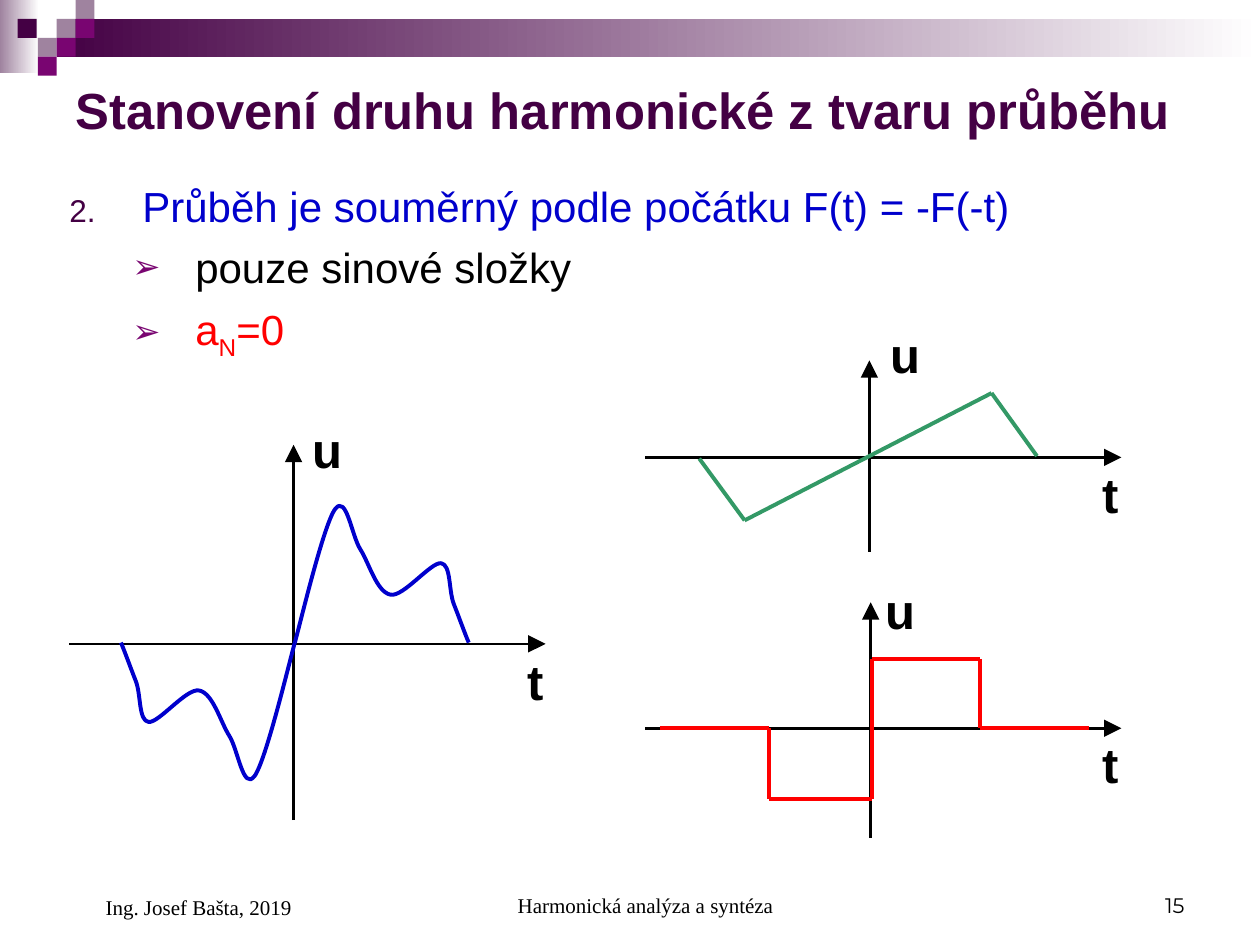
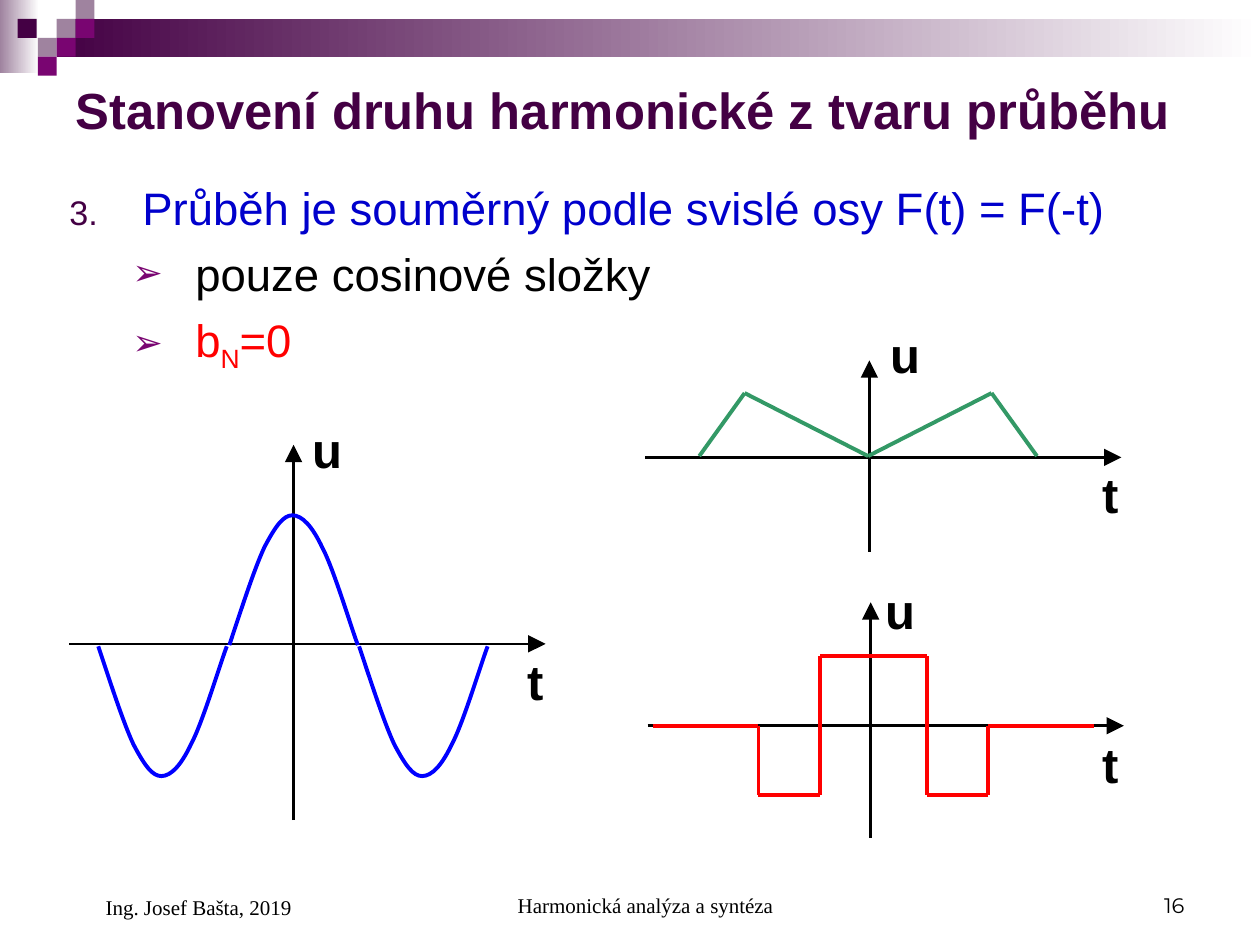
import itertools

import pptx
import pptx.dml.color
import pptx.enum.shapes
import pptx.enum.text
import pptx.oxml
import pptx.oxml.ns
import pptx.util
from pptx.util import Inches

PLUM, MAUVE, MAGENTA = "440044", "9F839F", "790571"
BLACK, WHITE, NAVY, BLUE, RED, GREEN = "000000", "FFFFFF", "0000CC", "0000FF", "FF0000", "339966"
ALIGN = pptx.enum.text.PP_ALIGN
ANCHOR = pptx.enum.text.MSO_ANCHOR
AUTO_SIZE = pptx.enum.text.MSO_AUTO_SIZE

TITLE = "Stanovení druhu harmonické z tvaru průběhu"
GRADIENT_BANDS = [((0, 0, 0.31, 0.58), MAUVE), ((0.45, 0.15, 9.55, 0.3), PLUM)]
SQUARE_SIDE = 0.15
SQUARES = [
    (0.45, 0.15, MAUVE), (0.6, 0, MAUVE), (0.6, 0.15, MAGENTA), (0.3, 0.3, MAUVE),
    (0.14, 0.15, PLUM), (0.45, 0.3, MAGENTA), (0.3, 0.45, MAGENTA),
]
FOOTERS = [
    ("Harmonická analýza a syntéza", (3.42, 6.83, 3.17, 0.5), ALIGN.CENTER, 0.24, "Times New Roman"),
    ("{number}", (7.17, 6.83, 2.33, 0.5), ALIGN.RIGHT, 0, "Montserrat"),
    ("Ing. Josef Bašta, 2019", (0.5, 6.83, 2.33, 0.52), ALIGN.LEFT, 0.24, "Times New Roman"),
]

SMOOTH_AXES = {"t": (0.55, 4.33, 5.11), "u": (2.33, 6.51, 3.53),
               "labels": {"u": (2.38, 3.28), "t": (4.09, 5.12)}}
TRIANGLE_AXES = {"t": (5.12, 8.9, 3.63), "u": (6.9, 4.38, 2.86),
                 "labels": {"u": (6.97, 2.53), "t": (8.65, 3.64)}}
SQUARE_AXES = {"t": (5.12, 8.9, 5.78), "u": (6.91, 6.65, 4.78),
               "labels": {"u": (6.93, 4.56), "t": (8.65, 5.78)}}
RAISED_SQUARE_AXES = {**SQUARE_AXES, "t": (5.14, 8.92, 5.76)}

ORIGIN = (2.34, 5.1)
ODD_HALF = [
    (0, 0), (0.05, -0.18), (0.23, -0.94), (0.32, -1.06), (0.41, -1.18), (0.45, -0.85), (0.52, -0.74),
    (0.59, -0.63), (0.65, -0.4), (0.76, -0.38), (0.86, -0.36), (1.08, -0.64), (1.16, -0.63),
    (1.24, -0.62), (1.22, -0.42), (1.26, -0.31), (1.3, -0.21), (1.35, -0.07), (1.38, 0),
]
ARCH = [
    (0, 0), (0.1, 0.3), (0.2, 0.61), (0.28, 0.78), (0.37, 0.95), (0.43, 1.03), (0.5, 1.03),
    (0.58, 1.03), (0.66, 0.94), (0.74, 0.77), (0.83, 0.6), (0.97, 0.13), (1.02, 0),
]

SLIDES = [
    {
        "number": 15,
        "start": 2,
        "size": 24,
        "body": (0.45, 1.38, 9.05, 1.6),
        "property": "Průběh je souměrný podle počátku F(t) = -F(-t)",
        "components": "pouze sinové složky",
        "coefficient": "a",
        "axes": [SMOOTH_AXES, TRIANGLE_AXES, SQUARE_AXES],
        "curves": [(ODD_HALF, ORIGIN, 1, 1, NAVY), (ODD_HALF, ORIGIN, -1, -1, NAVY)],
        "waves": [
            (GREEN, [(5.55, 3.64), (5.91, 4.13), (7.87, 3.12), (8.23, 3.62)]),
            (RED, [(5.24, 5.78), (6.1, 5.78), (6.1, 6.34), (6.92, 6.34), (6.92, 5.23),
                   (7.78, 5.23), (7.78, 5.78), (8.64, 5.78)]),
        ],
    },
    {
        "number": 16,
        "start": 3,
        "size": 26,
        "body": (0.45, 1.38, 8.9, 1.65),
        "property": "Průběh je souměrný podle svislé osy F(t) = F(-t)",
        "components": "pouze cosinové složky",
        "coefficient": "b",
        "axes": [SMOOTH_AXES, TRIANGLE_AXES, RAISED_SQUARE_AXES],
        "curves": [(ARCH, (1.82, 5.12), 1, -1, BLUE), (ARCH, (2.85, 5.13), 1, 1, BLUE),
                   (ARCH, (0.78, 5.13), 1, 1, BLUE)],
        "waves": [
            (GREEN, [(5.55, 3.62), (5.91, 3.12), (6.89, 3.62), (7.87, 3.12), (8.23, 3.62)]),
            (RED, [(5.18, 5.76), (6.02, 5.76), (6.02, 6.31), (6.51, 6.31), (6.51, 5.21), (7.36, 5.21),
                   (7.36, 6.31), (7.84, 6.31), (7.84, 5.76), (8.68, 5.76)]),
        ],
    },
]


def rgb(color):
    return pptx.dml.color.RGBColor.from_string(color)


def add_element(parent, tag, **attributes):
    element = pptx.oxml.parse_xml(f"<a:{tag} {pptx.oxml.ns.nsdecls('a')}/>")
    for name, value in attributes.items():
        element.set(name, str(value))
    parent.append(element)
    return element


def place(shape, box):
    shape.left, shape.top, shape.width, shape.height = map(Inches, box)


def format_font(font, name, size, color, bold=False):
    font.name, font.size, font.bold = name, pptx.util.Pt(size), bold
    font.color.rgb = rgb(color)


def add_text(slide, text, box, name, size, bold=False, align=ALIGN.LEFT, anchor=ANCHOR.TOP, indent=0):
    shape = slide.shapes.add_textbox(*map(Inches, box))
    frame = shape.text_frame
    frame.word_wrap = True
    frame.vertical_anchor = anchor
    frame.text = text
    paragraph = frame.paragraphs[0]
    paragraph.alignment = align
    paragraph._p.get_or_add_pPr().set("marL", str(Inches(indent)))
    format_font(paragraph.runs[0].font, name, size, BLACK, bold)
    return frame


def add_rectangle(slide, box):
    shape = slide.shapes.add_shape(pptx.enum.shapes.MSO_SHAPE.RECTANGLE, *map(Inches, box))
    shape.shadow.inherit = False
    shape.line.fill.background()
    return shape


def add_master_band(slide, master):
    rectangles = []
    for box, color in GRADIENT_BANDS:
        rectangle = add_rectangle(slide, box)
        rectangle.fill.gradient()
        rectangle.fill.gradient_angle = 0
        for stop, stop_color in zip(rectangle.fill.gradient_stops, (color, WHITE)):
            stop.color.rgb = rgb(stop_color)
        rectangles.append(rectangle)
    for left, top, color in SQUARES:
        rectangle = add_rectangle(slide, (left, top, SQUARE_SIDE, SQUARE_SIDE))
        rectangle.fill.solid()
        rectangle.fill.fore_color.rgb = rgb(color)
        rectangles.append(rectangle)
    for number, rectangle in enumerate(rectangles, 100):
        rectangle._element.nvSpPr.cNvPr.set("id", str(number))
        master.shapes._spTree.append(rectangle._element)


def add_line(slide, start, end, color, width, arrow=False):
    points = map(Inches, (*start, *end))
    line = slide.shapes.add_connector(pptx.enum.shapes.MSO_CONNECTOR.STRAIGHT, *points)
    line.line.color.rgb = rgb(color)
    line.line.width = pptx.util.Pt(width)
    if arrow:
        add_element(line.line._get_or_add_ln(), "tailEnd", type="triangle", w="lg", len="lg")
    add_element(line._element.spPr, "effectLst")


def add_axes(slide, axes):
    left, right, level = axes["t"]
    center, bottom, top = axes["u"]
    add_line(slide, (left, level), (right, level), BLACK, 1.5, arrow=True)
    add_line(slide, (center, bottom), (center, top), BLACK, 1.5, arrow=True)
    for label, position in axes["labels"].items():
        width = 0.67 if label == "u" else 0.45
        frame = add_text(slide, label, (*position, width, 0.57), "Arial", 28, bold=True)
        frame.auto_size = AUTO_SIZE.SHAPE_TO_FIT_TEXT


def bend_segments(shape):
    segments = shape._element.findall(".//" + pptx.oxml.ns.qn("a:lnTo"))
    outline = segments[0].getparent()
    for first in range(0, len(segments), 3):
        bend = add_element(outline, "cubicBezTo")
        for segment in segments[first:first + 3]:
            bend.append(segment[0])
            outline.remove(segment)


def add_curve(slide, controls, origin, x_sign, y_sign, color):
    points = [(Inches(origin[0] + x_sign * x), Inches(origin[1] + y_sign * y)) for x, y in controls]
    builder = slide.shapes.build_freeform(*points[0])
    builder.add_line_segments(points[1:], close=False)
    shape = builder.convert_to_shape()
    bend_segments(shape)
    shape.shadow.inherit = False
    shape.fill.background()
    shape.line.color.rgb = rgb(color)
    shape.line.width = pptx.util.Pt(2.25)


def add_title(slide):
    title = slide.shapes.title
    place(title, (0.5, 0.5, 9, 0.73))
    frame = title.text_frame
    frame.text = TITLE
    frame.auto_size = AUTO_SIZE.NONE
    frame.vertical_anchor = ANCHOR.MIDDLE
    frame.paragraphs[0].alignment = ALIGN.LEFT
    format_font(frame.paragraphs[0].runs[0].font, "Arial", 29, PLUM, bold=True)


def add_list(slide, content):
    body = slide.placeholders[1]
    place(body, content["body"])
    frame = body.text_frame
    frame.auto_size = AUTO_SIZE.NONE
    items = [
        (0, NAVY, [content["property"]]),
        (1, BLACK, [content["components"]]),
        (1, RED, [content["coefficient"], "N", "=0"]),
    ]
    for index, (level, color, texts) in enumerate(items):
        paragraph = frame.add_paragraph() if index else frame.paragraphs[0]
        paragraph.level = level
        paragraph.space_before = pptx.util.Pt(6.5 if index else 0)
        margin, hanging, bullet_color, bullet_size = ((0.58, 0.58, PLUM, 75), (1, 0.5, MAGENTA, 80))[level]
        properties = paragraph._p.get_or_add_pPr()
        properties.set("marL", str(Inches(margin)))
        properties.set("indent", str(-Inches(hanging)))
        add_element(add_element(properties, "buClr"), "srgbClr", val=bullet_color)
        add_element(properties, "buSzPct", val=bullet_size * 1000)
        add_element(properties, "buFont", typeface="Arial")
        if level:
            add_element(properties, "buChar", char="➢")
        else:
            add_element(properties, "buAutoNum", type="arabicPeriod", startAt=content["start"])
        for text in texts:
            run = paragraph.add_run()
            run.text = text
            format_font(run.font, "Arial", content["size"], color)
            if text == "N":
                run._r.get_or_add_rPr().set("baseline", "-25000")


def build_slide(presentation, content):
    slide = presentation.slides.add_slide(presentation.slide_layouts[1])
    add_title(slide)
    add_list(slide, content)
    for axes in content["axes"]:
        add_axes(slide, axes)
    for curve in content["curves"]:
        add_curve(slide, *curve)
    for color, points in content["waves"]:
        for start, end in itertools.pairwise(points):
            add_line(slide, start, end, color, 2.25)
    for text, box, align, indent, font in FOOTERS:
        add_text(slide, text.format(number=content["number"]), box, font, 12,
                 align=align, anchor=ANCHOR.BOTTOM, indent=indent)


def main():
    presentation = pptx.Presentation()
    presentation.slide_width, presentation.slide_height = Inches(10), Inches(7.5)
    for content in SLIDES:
        build_slide(presentation, content)
    add_master_band(presentation.slides[0], presentation.slide_master)
    presentation.save("out.pptx")


if __name__ == "__main__":
    main()
